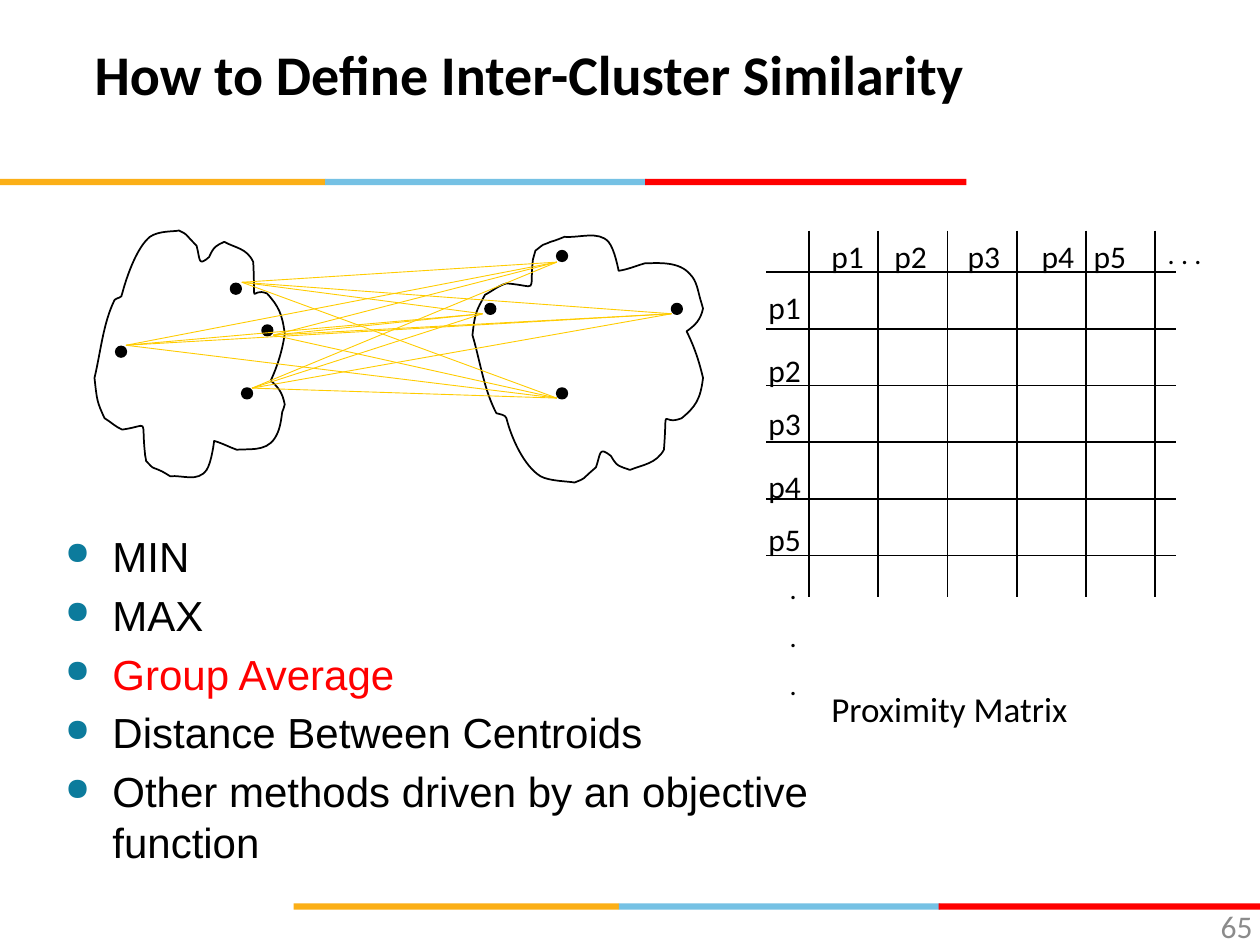
"""Build a slide on inter-cluster similarity with two clusters and a proximity matrix."""
from dataclasses import dataclass
from itertools import product
from typing import NamedTuple

from pptx import Presentation
from pptx.dml.color import RGBColor
from pptx.enum.shapes import MSO_CONNECTOR, MSO_SHAPE
from pptx.enum.text import PP_ALIGN
from pptx.oxml import parse_xml
from pptx.oxml.ns import nsdecls, qn
from pptx.oxml.xmlchemy import OxmlElement
from pptx.shapes.shapetree import GroupShapes, SlideShapes
from pptx.text.text import TextFrame
from pptx.util import Pt

STRAIGHT = MSO_CONNECTOR.STRAIGHT
RECTANGLE = MSO_SHAPE.RECTANGLE
OVAL = MSO_SHAPE.OVAL
LEFT, RIGHT = PP_ALIGN.LEFT, PP_ALIGN.RIGHT
Shapes = SlideShapes | GroupShapes


@dataclass(frozen=True)
class Theme:
    black: str = "000000"
    red: str = "FF0000"
    blue: str = "75C1E4"
    orange: str = "FBAF17"
    link: str = "FFCC00"
    gray: str = "8B8B8B"
    bullet: str = "0C7B9C"
    heading_font: str = "Calibri"
    body_font: str = "Arial"
    title: float = 32
    body: float = 24
    caption: float = 20
    label: float = 18
    dots: float = 16
    outline: float = 1
    hairline: float = 0.5


THEME = Theme()


class Point(NamedTuple):
    x: float
    y: float


class Area(NamedTuple):
    left: float
    top: float
    width: float
    height: float


class Style(NamedTuple):
    size: float
    color: str = THEME.black
    font: str = THEME.heading_font
    bold: bool = False
    align: PP_ALIGN = LEFT


@dataclass(frozen=True)
class Cluster:
    outline: tuple[Point, ...]
    dots: tuple[Point, ...]
    link_ends: tuple[Point, ...]


def points(*pairs: tuple[float, float]) -> tuple[Point, ...]:
    return tuple(Point(*pair) for pair in pairs)


LEFT_CLUSTER = Cluster(
    points(
        (91, 238), (82, 256), (80, 279), (75, 300), (77, 318), (77, 319), (83, 332),
        (88, 335), (92, 339), (97, 341), (119, 338), (112, 331), (115, 359),
        (115, 362), (116, 364), (116, 366), (123, 373), (119, 370), (126, 373),
        (129, 374), (135, 378), (135, 378), (145, 377), (157, 383), (164, 373),
        (168, 367), (170, 350), (170, 350), (177, 352), (182, 355), (188, 357),
        (196, 356), (211, 359), (218, 348), (222, 342), (223, 335), (224, 327),
        (225, 325), (226, 321), (226, 321), (224, 311), (221, 308), (215, 302),
        (220, 291), (224, 279), (226, 265), (224, 249), (221, 243), (212, 233),
        (198, 227), (203, 248), (201, 208), (196, 197), (187, 197), (178, 192),
        (172, 195), (170, 195), (166, 204), (157, 212), (159, 206), (156, 195),
        (145, 184), (150, 187), (142, 183), (138, 184), (126, 183), (119, 188),
        (109, 196), (101, 218), (97, 233), (97, 237), (93, 236), (91, 238)),
    points((138.2, 221.8), (131.8, 162), (66.2, 198), (149.8, 185.8)),
    points((144, 221.8), (156.2, 191.5), (72, 197.3), (138.2, 161.3)))

RIGHT_CLUSTER = Cluster(
    points(
        (394, 328), (384, 309), (381, 286), (375, 266), (377, 248), (378, 247), (385, 234),
        (391, 231), (395, 227), (402, 225), (428, 227), (420, 234), (423, 206),
        (424, 204), (424, 201), (425, 199), (434, 192), (428, 196), (437, 192),
        (441, 191), (448, 188), (448, 188), (460, 189), (475, 183), (483, 192),
        (488, 198), (491, 215), (491, 215), (498, 214), (505, 211), (512, 209),
        (522, 209), (539, 207), (548, 218), (553, 223), (554, 231), (556, 238),
        (557, 241), (558, 245), (558, 245), (556, 254), (552, 258), (545, 263),
        (551, 275), (555, 287), (558, 300), (556, 317), (552, 323), (541, 332),
        (524, 339), (530, 318), (527, 357), (521, 368), (510, 369), (500, 373),
        (492, 370), (490, 371), (485, 362), (475, 354), (477, 360), (473, 371),
        (460, 382), (466, 379), (456, 383), (451, 382), (436, 382), (429, 378),
        (416, 370), (406, 348), (402, 332), (401, 329), (397, 329), (394, 328)),
    points((383.8, 173.5), (277.2, 173.5), (318.2, 221.8), (318.2, 143.3)),
    points((318.2, 227.5), (275.8, 179.3), (318.2, 149.8), (383.8, 179.3)))

OUTLINE_UNIT = Pt(0.72)
DOT_SIZE = 6
BANDS = ((0, 186, THEME.orange), (185.8, 183.6, THEME.blue), (368.6, 183.6, THEME.red))
COLUMN_LEFTS = (468, 504, 545.8, 588.2, 617.8)
ROW_TOPS = (161.3, 197.3, 227.5, 263.5, 293.8)
METHODS = ("MIN", "MAX", "Group Average", "Distance Between Centroids",
           "Other methods driven by an objective function")


def rgb(color: str) -> RGBColor:
    return RGBColor.from_string(color)


def draw_shape(shapes: Shapes, kind: MSO_SHAPE, area: Area, color: str, outlined: bool) -> None:
    shape = shapes.add_shape(kind, *map(Pt, area))
    shape.shadow.inherit = False
    shape.fill.solid()
    shape.fill.fore_color.rgb = rgb(color)
    if outlined:
        shape.line.color.rgb = rgb(color)
        shape.line.width = Pt(THEME.outline)
    else:
        shape.line.fill.background()


def draw_line(shapes: Shapes, start: Point, end: Point, color: str, width: float) -> None:
    line = shapes.add_connector(STRAIGHT, *map(Pt, (*start, *end)))
    line.line.color.rgb = rgb(color)
    line.line.width = Pt(width)
    line.element.spPr.append(OxmlElement("a:effectLst"))


def draw_text(shapes: Shapes, area: Area, text: str, style: Style,
              inset: bool = True, gap: float = 0) -> TextFrame:
    box = shapes.add_textbox(*map(Pt, area))
    frame = box.text_frame
    frame.word_wrap = True
    if not inset:
        frame.margin_left = frame.margin_top = frame.margin_right = frame.margin_bottom = 0
    frame.text = text
    for index, para in enumerate(frame.paragraphs):
        para.alignment = style.align
        if index and gap:
            para.space_before = Pt(gap)
        for span in para.runs:
            span.font.name = style.font
            span.font.size = Pt(style.size)
            span.font.bold = style.bold
            span.font.color.rgb = rgb(style.color)
    return frame


def draw_cluster(shapes: Shapes, cluster: Cluster) -> None:
    first, *rest = cluster.outline
    builder = shapes.build_freeform(*first, scale=OUTLINE_UNIT)
    builder.add_line_segments(rest, close=True)
    blob = builder.convert_to_shape()
    blob.shadow.inherit = False
    blob.fill.background()
    blob.line.color.rgb = rgb(THEME.black)
    blob.line.width = Pt(THEME.outline)
    segments = list(blob.element.iter(qn("a:lnTo")))
    for first_control, second_control, end in zip(*[iter(segments)] * 3):
        curve = OxmlElement("a:cubicBezTo")
        first_control.addprevious(curve)
        for segment in (first_control, second_control, end):
            curve.append(segment[0])
            segment.getparent().remove(segment)
    for dot in cluster.dots:
        draw_shape(shapes, OVAL, Area(*dot, DOT_SIZE, DOT_SIZE), THEME.black, True)


def draw_matrix(shapes: Shapes) -> None:
    for index in range(6):
        x, y = 462.2 + 39.6 * index, 155.5 + 32.4 * index
        draw_line(shapes, Point(x, 131.8), Point(x, 341.3), THEME.black, THEME.outline)
        draw_line(shapes, Point(437.8, y), Point(671.8, y), THEME.black, THEME.outline)
    label, dots = Style(THEME.label), Style(THEME.dots)
    for number, (left, top) in enumerate(zip(COLUMN_LEFTS, ROW_TOPS), 1):
        for corner in (Point(left, 131.8), Point(432, top)):
            draw_text(shapes, Area(*corner, 41.8, 28.8), f"p{number}", label)
    draw_text(shapes, Area(660.2, 131.8, 41.8, 25.9), ". . .", dots)
    draw_text(shapes, Area(444.2, 323.3, 41.8, 80.6), ".\n.\n.", dots, gap=8)


def draw_methods(shapes: Shapes) -> None:
    style = Style(THEME.body, font=THEME.body_font)
    frame = draw_text(shapes, Area(30.2, 299.5, 455.8, 198), "\n".join(METHODS), style, gap=2.4)
    for para in frame.paragraphs:
        para.space_after = Pt(2.4)
        properties = para._p.get_or_add_pPr()
        properties.set("marL", str(Pt(27)))
        properties.set("indent", str(Pt(-27)))
        for markup in (f'<a:buClr {nsdecls("a")}><a:srgbClr val="{THEME.bullet}"/></a:buClr>',
                       f'<a:buSzPct {nsdecls("a")} val="75000"/>',
                       f'<a:buChar {nsdecls("a")} char="●"/>'):
            properties.append(parse_xml(markup))
    frame.paragraphs[2].runs[0].font.color.rgb = rgb(THEME.red)


def main() -> None:
    deck = Presentation()
    deck.slide_width, deck.slide_height = Pt(720), Pt(540)
    page = deck.slides.add_slide(deck.slide_layouts[6])
    shapes = page.shapes
    for offset, top in ((0, 102.2), (167.8, 516.2)):
        for left, width, color in BANDS:
            draw_shape(shapes, RECTANGLE, Area(offset + left, top, width, 3.6), color, False)
    draw_text(shapes, Area(54, 22.3, 620.6, 37.4), "How to Define Inter-Cluster Similarity",
              Style(THEME.title, bold=True), inset=False)
    draw_text(shapes, Area(553.7, 518.4, 162, 18), "65",
              Style(THEME.label, THEME.gray, align=RIGHT), inset=False)
    draw_matrix(shapes.add_group_shape().shapes)
    for cluster in (LEFT_CLUSTER, RIGHT_CLUSTER):
        draw_cluster(shapes, cluster)
    for start, end in product(LEFT_CLUSTER.link_ends, RIGHT_CLUSTER.link_ends):
        draw_line(shapes, start, end, THEME.link, THEME.hairline)
    draw_text(shapes, Area(468, 389.5, 198, 31), "Proximity Matrix", Style(THEME.caption))
    draw_methods(shapes)
    deck.save("out.pptx")


if __name__ == "__main__":
    main()
